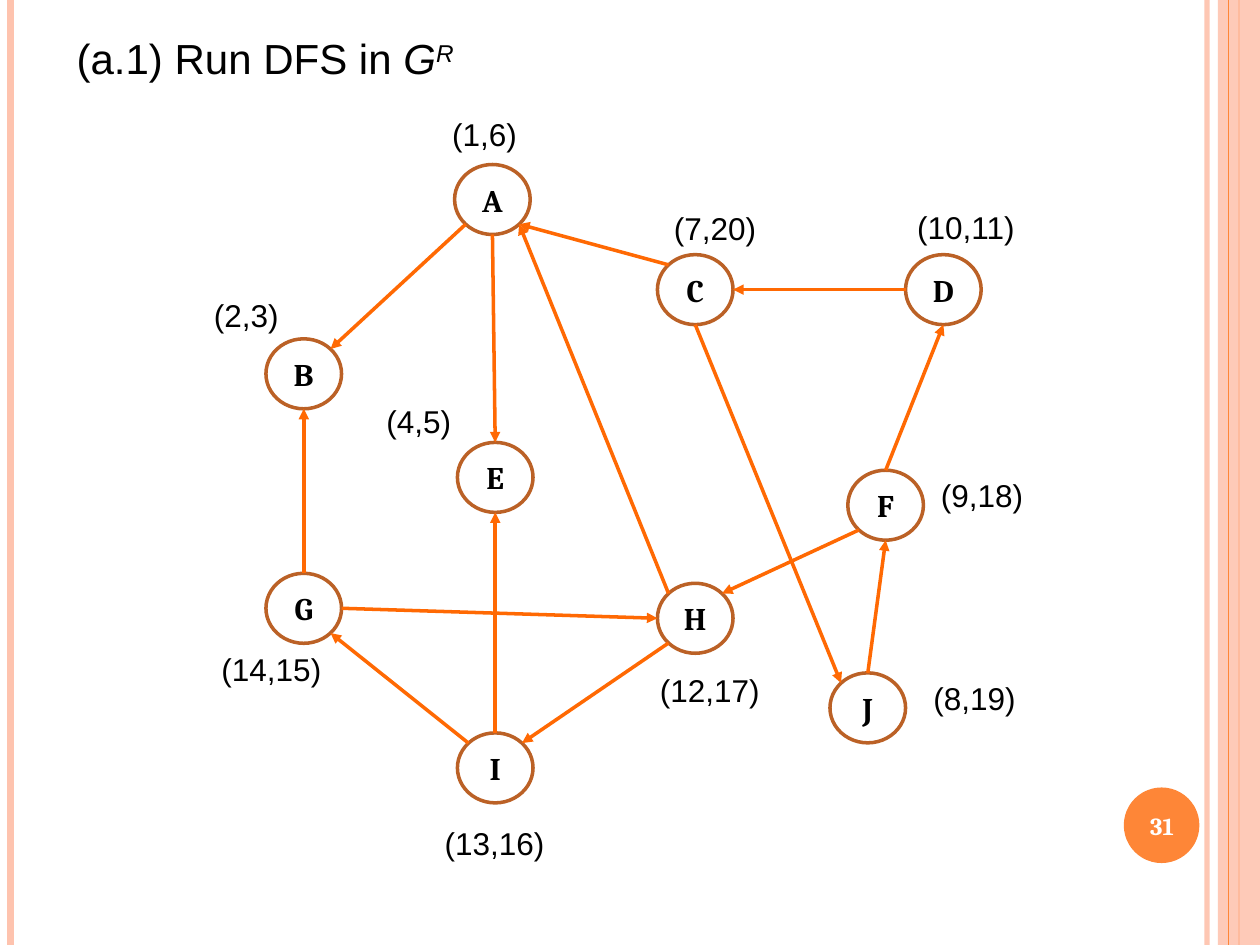
"""Build a slide showing a depth-first search on a reversed graph."""
from math import sqrt

from lxml import etree
from pptx import Presentation
from pptx.dml.color import RGBColor
from pptx.enum.shapes import MSO_CONNECTOR, MSO_SHAPE
from pptx.enum.text import MSO_ANCHOR, MSO_AUTO_SIZE, PP_ALIGN
from pptx.oxml.ns import qn
from pptx.util import Pt

STRAIGHT = MSO_CONNECTOR.STRAIGHT
OVAL, RECTANGLE = MSO_SHAPE.OVAL, MSO_SHAPE.RECTANGLE
TOP, MIDDLE = MSO_ANCHOR.TOP, MSO_ANCHOR.MIDDLE
LEFT, CENTER = PP_ALIGN.LEFT, PP_ALIGN.CENTER
GROW = MSO_AUTO_SIZE.SHAPE_TO_FIT_TEXT

BLACK = RGBColor(0x00, 0x00, 0x00)
WHITE = RGBColor(0xFF, 0xFF, 0xFF)
PEACH = RGBColor(0xFE, 0xC3, 0xAE)
ORANGE = RGBColor(0xFE, 0x86, 0x37)
BROWN = RGBColor(0xBB, 0x61, 0x26)
ARROW = RGBColor(0xFF, 0x69, 0x03)

SLIDE_WIDTH, SLIDE_HEIGHT = 720, 540
NODE_WIDTH, NODE_HEIGHT = 43.2, 40
DIAGONAL = sqrt(0.5)
SITES = {
    "top": (0, -1), "bottom": (0, 1), "left": (-1, 0), "right": (1, 0),
    "top left": (-DIAGONAL, -DIAGONAL), "top right": (DIAGONAL, -DIAGONAL),
    "bottom left": (-DIAGONAL, DIAGONAL), "bottom right": (DIAGONAL, DIAGONAL),
}


def write_text(box, text, size=18, font="Arial", color=BLACK, bold=False,
               italic=False, baseline=0, align=LEFT, anchor=TOP):
    frame = box.text_frame
    frame.word_wrap = True
    frame.vertical_anchor = anchor
    para = frame.paragraphs[0]
    para.alignment = align
    span = para.add_run()
    span.text = text
    span.font.size = Pt(size)
    span.font.name = font
    span.font.bold = bold
    span.font.italic = italic
    span.font.color.rgb = color
    if baseline:
        span._r.get_or_add_rPr().set("baseline", str(baseline * 1000))


def add_line(start, end, color, width):
    line = page.shapes.add_connector(STRAIGHT, *map(Pt, start + end))
    line.line.color.rgb = color
    line.line.width = Pt(width)
    etree.SubElement(line._element.spPr, qn("a:effectLst"))
    return line


deck = Presentation()
deck.slide_width, deck.slide_height = Pt(SLIDE_WIDTH), Pt(SLIDE_HEIGHT)
page = deck.slides.add_slide(deck.slide_layouts[6])

stripes = [
    add_line((x, 0), (x, SLIDE_HEIGHT), color, width)
    for x, color, width in [(689.8, PEACH, 3), (6, PEACH, 4.5), (708, ORANGE, 1.5)]
]

band = page.shapes.add_shape(RECTANGLE, Pt(696), 0, Pt(24), Pt(SLIDE_HEIGHT))
band.fill.solid()
band.fill.fore_color.rgb = PEACH
band.line.fill.background()
band.shadow.inherit = False

for shape, opacity in [(stripes[0], 93), (band, 87)]:
    for tint in shape._element.spPr.iter(qn("a:srgbClr")):
        etree.SubElement(tint, qn("a:alpha"), val=str(opacity * 1000))

add_line((702, 0), (702, SLIDE_HEIGHT), ORANGE, 0.75)

badge = page.shapes.add_shape(OVAL, Pt(642.2), Pt(450), Pt(43.2), Pt(43.2))
badge.fill.solid()
badge.fill.fore_color.rgb = ORANGE
badge.line.fill.background()
badge.shadow.inherit = False
number = page.shapes.add_textbox(Pt(640), Pt(451.4), Pt(48), Pt(41))
write_text(number, "31", size=14, font="Cambria", color=WHITE, bold=True,
           align=CENTER, anchor=MIDDLE)

nodes = {
    "B": (152, 193.6), "A": (259.8, 94), "C": (375.7, 145.5), "D": (517.5, 145.5),
    "E": (261.4, 252.8), "F": (484.5, 268.7), "G": (152, 327.6),
    "H": (375.7, 333.3), "I": (261.4, 418.8), "J": (474.3, 384.5),
}
for name, (left, top) in nodes.items():
    node = page.shapes.add_shape(OVAL, Pt(left), Pt(top), Pt(NODE_WIDTH), Pt(NODE_HEIGHT))
    node.fill.background()
    node.line.color.rgb = BROWN
    node.line.width = Pt(2)
    node.shadow.inherit = False
    write_text(node, name, font="Cambria", bold=True, align=CENTER, anchor=MIDDLE)

edges = [
    ("A", "bottom left", "B", "top right"),
    ("C", "top left", "A", "bottom right"),
    ("D", "left", "C", "right"),
    ("F", "top", "D", "bottom"),
    ("J", "top", "F", "bottom"),
    ("C", "bottom", "J", "top left"),
    ("F", "bottom left", "H", "top right"),
    ("A", "bottom", "E", "top"),
    ("G", "top", "B", "bottom"),
    ("G", "right", "H", "left"),
    ("H", "bottom left", "I", "top right"),
    ("I", "top left", "G", "bottom right"),
    ("I", "top", "E", "bottom"),
    ("H", "top left", "A", "bottom right"),
]
for source, source_site, target, target_site in edges:
    ends = []
    for name, site in [(source, source_site), (target, target_site)]:
        left, top = nodes[name]
        across, down = SITES[site]
        ends.append((left + NODE_WIDTH / 2 * (1 + across),
                     top + NODE_HEIGHT / 2 * (1 + down)))
    edge = add_line(*ends, ARROW, 2)
    etree.SubElement(edge.line._get_or_add_ln(), qn("a:tailEnd"), type="triangle")

labels = [
    ("(1,6)", 251.3, 62, 67.7), ("(7,20)", 378, 115.8, 67.7),
    ("(10,11)", 517, 115.2, 81.4), ("(9,18)", 530.6, 268.7, 67.7),
    ("(8,19)", 526.3, 384.5, 67.7), ("(12,17)", 370, 380, 79.2),
    ("(2,3)", 115.2, 165.6, 67.7), ("(14,15)", 119.5, 368, 88.6),
    ("(4,5)", 213.8, 226, 67.7), ("(13,16)", 247, 467.3, 85),
]
for text, left, top, width in labels:
    label = page.shapes.add_textbox(Pt(left), Pt(top), Pt(width), Pt(28.8))
    write_text(label, text)
    label.text_frame.auto_size = GROW

title = page.shapes.add_textbox(Pt(36.7), Pt(15.1), Pt(523.4), Pt(36))
write_text(title, "(a.1) Run DFS in ", size=24)
write_text(title, "G", size=24, italic=True)
write_text(title, "R", size=24, italic=True, baseline=30)
title.text_frame.auto_size = GROW

deck.save("out.pptx")
